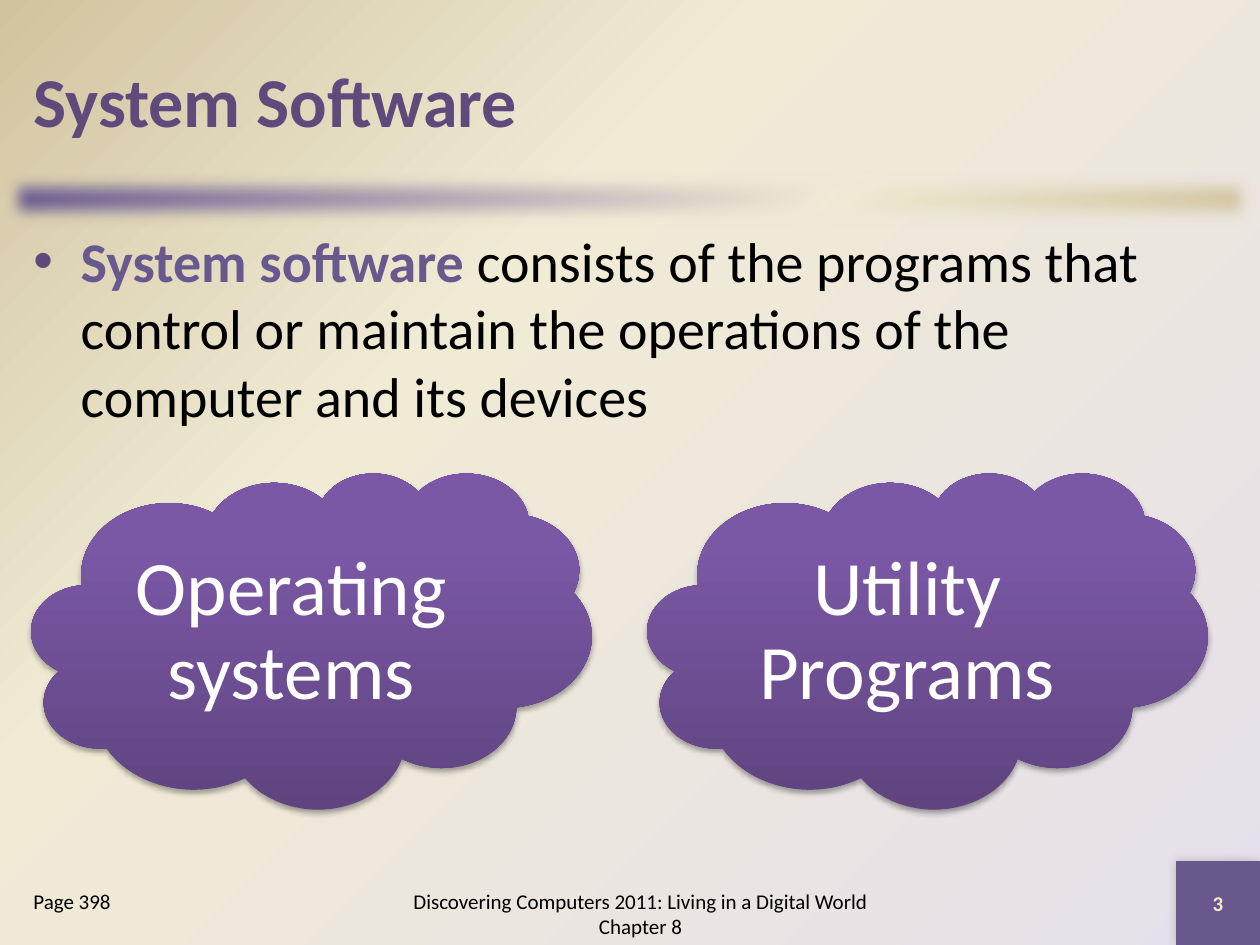
from dataclasses import dataclass

from lxml.etree import SubElement
from pptx import Presentation
from pptx.dml.color import RGBColor
from pptx.enum.shapes import MSO_SHAPE as Shape
from pptx.enum.text import MSO_ANCHOR as Anchor, PP_ALIGN as Align
from pptx.oxml.ns import qn
from pptx.util import Pt


@dataclass(frozen=True)
class Theme:
    font: str = "Calibri"
    heading: str = "604A7B"
    accent: str = "67588E"
    ink: str = "000000"
    white: str = "FFFFFF"
    cream: str = "EEEBCA"
    backdrop: tuple = ((0, "E6E0EC"), (65, "F0EBD5"), (100, "D1C39F"))
    band: tuple = ((0, "67588E"), (65, "F0EBD5"), (100, "D1C39F"))
    cloud: tuple = ((0, "5F4480"), (80, "7B58A6"), (100, "7C57A8"))
    title_size: int = 40
    body_size: int = 32
    cloud_size: int = 44
    small_size: int = 12


THEME = Theme()


def child(parent, tag, **attributes):
    return SubElement(parent, qn(tag), {k: str(v) for k, v in attributes.items()})


def color_node(parent, color):
    return child(parent, "a:srgbClr", val=color)


def apply_gradient(owner, fill, stops, angle=None):
    fill.gradient()
    gradient = owner.element.find(".//" + qn("a:gradFill"))
    for old in list(gradient):
        gradient.remove(old)
    stop_list = child(gradient, "a:gsLst")
    for position, color in stops:
        color_node(child(stop_list, "a:gs", pos=position * 1000), color)
    if angle is None:
        circle = child(gradient, "a:path", path="circle")
        child(circle, "a:fillToRect", l=100000, t=100000)
    else:
        child(gradient, "a:lin", ang=angle * 60000, scaled=0)


def add_figure(shapes, kind, box):
    figure = shapes.add_shape(kind, *map(Pt, box))
    figure.line.fill.background()
    figure.shadow.inherit = False
    return figure


def effects_of(figure):
    return figure.element.spPr.find(qn("a:effectLst"))


def cast_shadow(figure, opacity, blur, distance, direction):
    shadow = child(effects_of(figure), "a:outerShdw", blurRad=Pt(blur),
                   dist=Pt(distance), dir=direction * 60000, rotWithShape=0)
    child(color_node(shadow, THEME.ink), "a:alpha", val=opacity * 1000)


def write_run(paragraph, words, size, color, bold=False):
    run = paragraph.add_run()
    run.text = words
    look = {"name": THEME.font, "size": Pt(size), "bold": bold}
    for attribute, value in look.items():
        setattr(run.font, attribute, value)
    run.font.color.rgb = RGBColor.from_string(color)


def add_text(shapes, box, runs, align=Align.LEFT, anchor=Anchor.TOP, **frame_format):
    frame = shapes.add_textbox(*map(Pt, box)).text_frame
    for attribute, value in {"word_wrap": True, "vertical_anchor": anchor, **frame_format}.items():
        setattr(frame, attribute, value)
    paragraph = frame.paragraphs[0]
    paragraph.alignment = align
    for run in runs:
        write_run(paragraph, *run)
    return paragraph


def add_title(slide, words):
    title = slide.shapes.title
    place = {"left": 12, "top": 12, "width": 696, "height": 90}
    for attribute, value in place.items():
        setattr(title, attribute, Pt(value))
    title.text_frame.vertical_anchor = Anchor.MIDDLE
    paragraph = title.text_frame.paragraphs[0]
    paragraph.alignment = Align.LEFT
    write_run(paragraph, words, THEME.title_size, THEME.heading, True)


def add_band(slide):
    band = add_figure(slide.shapes, Shape.RECTANGLE, (0, 96, 720, 36))
    apply_gradient(band, band.fill, THEME.band, 45)
    child(effects_of(band), "a:softEdge", rad=Pt(10))


def add_definition(slide):
    definition = add_text(slide.shapes, (12, 126, 696, 366), [
        ("System software ", THEME.body_size, THEME.accent, True),
        ("consists of the programs that control or maintain the operations "
         "of the computer and its devices", THEME.body_size, THEME.ink),
    ])
    properties = definition._p.get_or_add_pPr()
    properties.set("marL", str(Pt(27)))
    properties.set("indent", str(Pt(-27)))
    color_node(child(properties, "a:buClr"), THEME.heading)
    child(properties, "a:buFont", typeface="Arial")
    child(properties, "a:buChar", char="•")


def add_cloud(slide, left, words):
    shapes = slide.shapes.add_group_shape().shapes
    cloud = add_figure(shapes, Shape.CLOUD, (left, 270, 320, 192))
    apply_gradient(cloud, cloud.fill, THEME.cloud, 270)
    cast_shadow(cloud, 35, 3.1, 1.8, 90)
    margins = {f"margin_{side}": Pt(13) for side in ("left", "top", "right", "bottom")}
    label = add_text(shapes, (left + 44, 299, 209, 125),
                     [(words, THEME.cloud_size, THEME.white)],
                     Align.CENTER, Anchor.MIDDLE, **margins)
    label.line_spacing = 0.9


def add_footer(slide):
    corner = (672, 492, 48, 48)
    square = add_figure(slide.shapes, Shape.RECTANGLE, corner)
    square.fill.solid()
    square.fill.fore_color.rgb = RGBColor.from_string(THEME.accent)
    cast_shadow(square, 20, 6, 0, 225)
    size = THEME.small_size
    add_text(slide.shapes, (12, 504, 132, 36), [("Page 398", size, THEME.ink)])
    add_text(slide.shapes, (216, 504, 300, 36),
             [("Discovering Computers 2011: Living in a Digital World Chapter 8", size, THEME.ink)],
             Align.CENTER, Anchor.MIDDLE)
    add_text(slide.shapes, corner, [("3", size, THEME.cream, True)],
             Align.CENTER, Anchor.MIDDLE)


def main():
    deck = Presentation()
    deck.slide_width, deck.slide_height = Pt(720), Pt(540)
    slide = deck.slides.add_slide(deck.slide_layouts.get_by_name("Title Only"))
    apply_gradient(slide, slide.background.fill, THEME.backdrop)
    add_title(slide, "System Software")
    add_band(slide)
    add_definition(slide)
    for column, words in enumerate(("Operating systems", "Utility Programs")):
        add_cloud(slide, 18 + 352 * column, words)
    add_footer(slide)
    deck.save("out.pptx")


if __name__ == "__main__":
    main()
